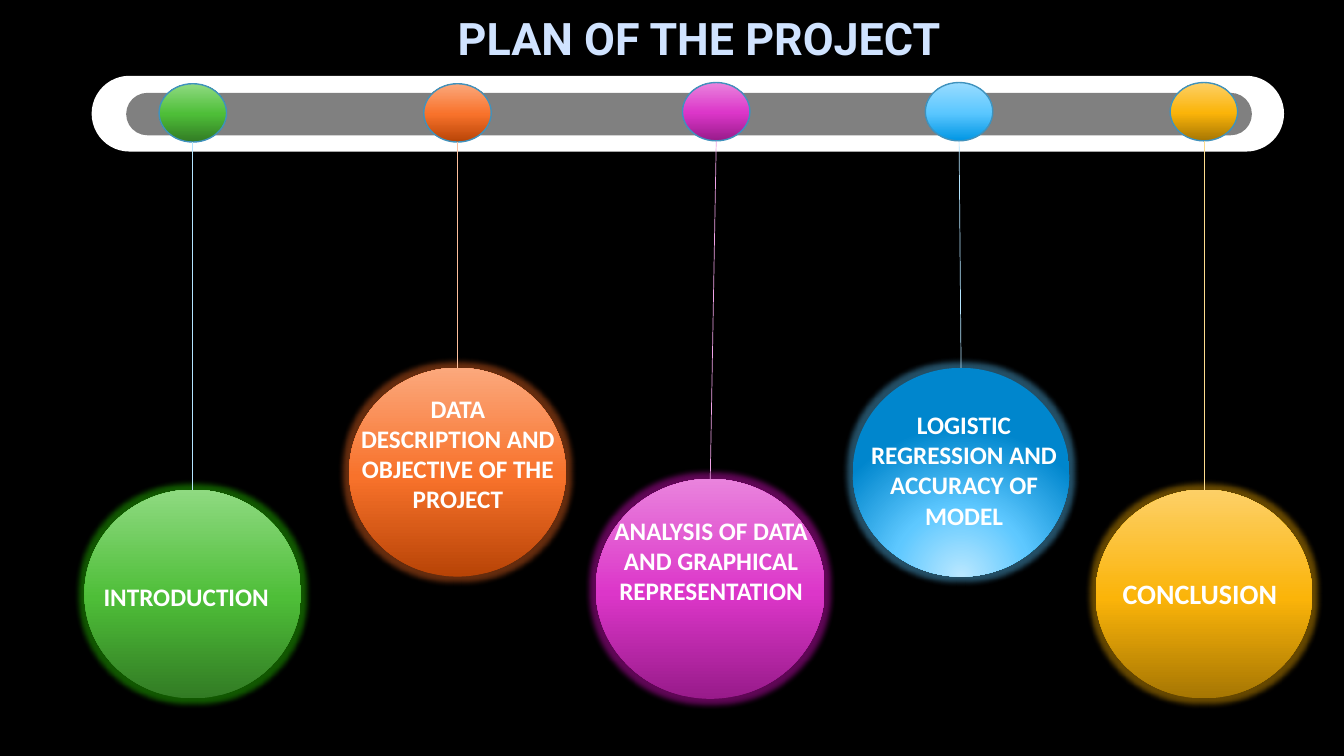
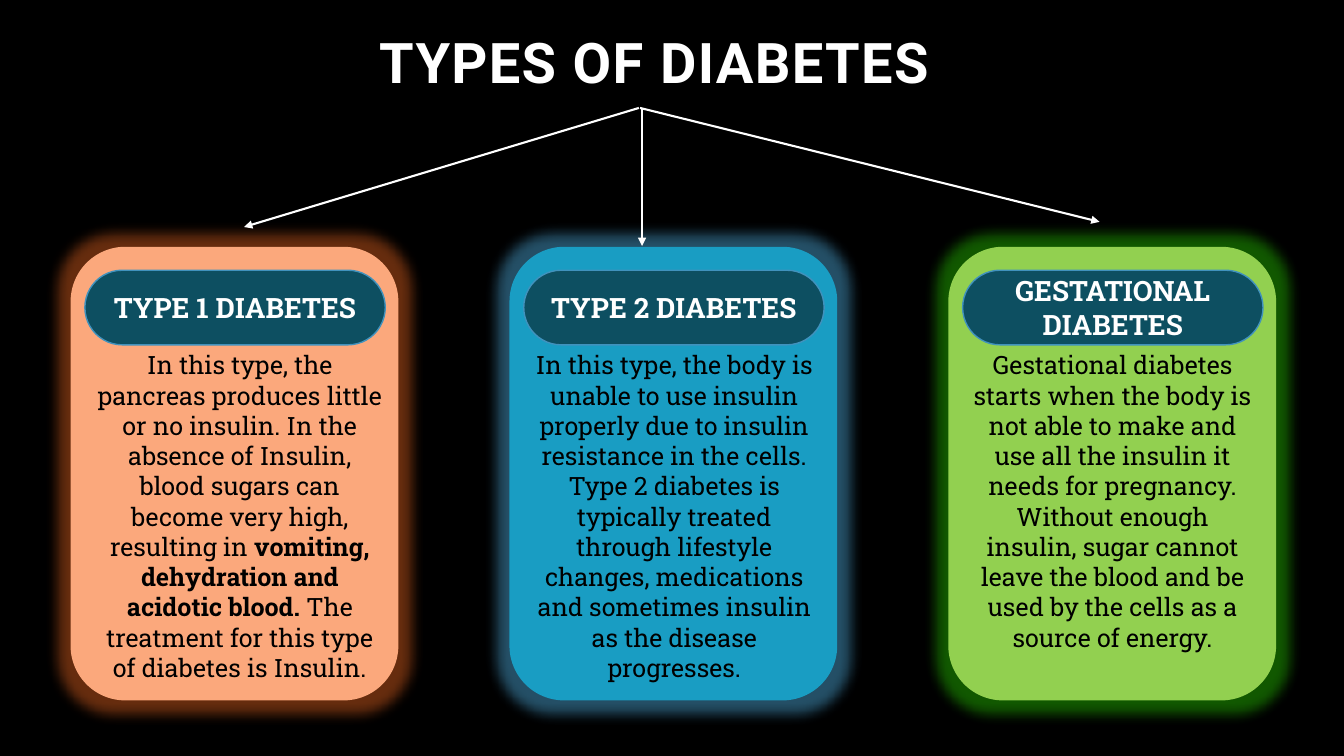
from dataclasses import dataclass
from typing import Optional

from lxml.etree import SubElement
from pptx import Presentation
from pptx.dml.color import RGBColor
from pptx.enum.shapes import MSO_CONNECTOR, MSO_SHAPE
from pptx.enum.text import MSO_ANCHOR, MSO_AUTO_SIZE, PP_ALIGN
from pptx.oxml.ns import qn
from pptx.util import Cm, Pt

BLACK = RGBColor(0x00, 0x00, 0x00)
WHITE = RGBColor(0xFF, 0xFF, 0xFF)
GREY = RGBColor(0x80, 0x80, 0x80)
PALE_BLUE = RGBColor(0xD0, 0xE3, 0xFF)
OUTLINE = RGBColor(0x40, 0x92, 0xBD)
DEEP_TEAL = RGBColor(0x0D, 0x4F, 0x61)
TEAL = RGBColor(0x19, 0x9D, 0xC3)
PEACH = RGBColor(0xFB, 0xA8, 0x7C)
LIME = RGBColor(0x92, 0xD0, 0x50)
GREEN_GLOW = RGBColor(0x2B, 0xDD, 0x00)
ORANGE_GLOW = RGBColor(0xFF, 0x70, 0x24)
PINK_GLOW = RGBColor(0xF0, 0x10, 0xD8)
BLUE_GLOW = RGBColor(0x5B, 0xC7, 0xFF)
YELLOW_GLOW = RGBColor(0xFF, 0xB4, 0x00)
ICE = RGBColor(0xB3, 0xE5, 0xFF)

TITLE_FONT = "Roboto"
LABEL_FONT = "Calibri"
CARD_FONT = "Roboto Slab"


@dataclass(frozen=True)
class Gradient:
    dark: RGBColor
    middle: RGBColor
    light: RGBColor
    middle_at: int = 48
    radial: bool = False


GREEN = Gradient(RGBColor(0x32, 0x7B, 0x24), RGBColor(0x4E, 0xBE, 0x38), RGBColor(0x8F, 0xDA, 0x81))
ORANGE = Gradient(RGBColor(0xB8, 0x44, 0x06), RGBColor(0xF8, 0x72, 0x2B), PEACH)
PINK = Gradient(RGBColor(0x98, 0x1B, 0x8A), RGBColor(0xDC, 0x36, 0xC9), RGBColor(0xE9, 0x83, 0xDD))
BLUE = Gradient(RGBColor(0x00, 0x96, 0xE4), RGBColor(0x5B, 0xC7, 0xFF), RGBColor(0x9A, 0xDC, 0xFF))
BLUE_BALL = Gradient(RGBColor(0xBB, 0xE8, 0xFF), RGBColor(0x5E, 0xC8, 0xFF),
                     RGBColor(0x00, 0x86, 0xCD), 46, True)
YELLOW = Gradient(RGBColor(0xA6, 0x76, 0x03), RGBColor(0xFB, 0xB4, 0x09), RGBColor(0xFD, 0xD0, 0x67))


@dataclass(frozen=True)
class Box:
    left: float
    top: float
    width: float
    height: float

    def lengths(self) -> tuple:
        return Cm(self.left), Cm(self.top), Cm(self.width), Cm(self.height)


@dataclass(frozen=True)
class Pendulum:
    text: str
    bead_x: float
    bead_top: float
    ball_x: float
    ball_top: float
    bead_fill: Gradient
    ball_fill: Gradient
    glow: RGBColor
    cable: RGBColor
    label: Box
    ball_width: float = 5.46
    ball_height: float = 5.26
    size: int = 18
    align: PP_ALIGN = PP_ALIGN.CENTER


@dataclass(frozen=True)
class Span:
    text: str
    bold: bool = False


@dataclass(frozen=True)
class Card:
    heading: str
    spans: tuple
    fill: RGBColor
    glow: RGBColor
    body_left: float
    body_width: float
    arrow_start_x: float
    arrow_end: tuple


PENDULUMS = (
    Pendulum("INTRODUCTION", 4.86, 2.11, 4.86, 12.34, GREEN, GREEN, GREEN_GLOW, ICE,
             Box(2.36, 14.53, 5.31, 1.02), align=PP_ALIGN.LEFT),
    Pendulum("DATA DESCRIPTION AND OBJECTIVE OF THE PROJECT", 11.53, 2.11, 11.53, 9.27,
             ORANGE, ORANGE, ORANGE_GLOW, RGBColor(0xFC, 0xBE, 0x9C), Box(8.81, 9.78, 5.46, 3.33)),
    Pendulum("ANALYSIS OF DATA AND GRAPHICAL REPRESENTATION", 18.05, 2.08, 17.9, 12.07,
             PINK, PINK, PINK_GLOW, RGBColor(0xEF, 0xA2, 0xE6), Box(15.01, 12.85, 5.82, 3.33),
             ball_width=5.77, ball_height=5.54),
    Pendulum("LOGISTIC REGRESSION AND ACCURACY OF MODEL", 24.17, 2.08, 24.22, 9.27,
             BLUE, BLUE_BALL, BLUE_GLOW, ICE, Box(21.64, 10.19, 5.31, 3.33)),
    Pendulum("CONCLUSION", 30.34, 2.08, 30.34, 12.34, YELLOW, YELLOW, YELLOW_GLOW,
             RGBColor(0xFD, 0xDC, 0x8D), Box(28.04, 14.4, 6.3, 1.12), size=20, align=PP_ALIGN.LEFT),
)

CARDS = (
    Card("TYPE 1 DIABETES",
         (Span("In this type, the pancreas produces little or no insulin. In the absence of Insulin, "
               "blood sugars can become very high, resulting in "),
          Span("vomiting, dehydration and acidotic blood. ", True),
          Span("The treatment for this type of diabetes is Insulin.")),
         PEACH, ORANGE_GLOW, 2.16, 7.77, 16.1, (6.15, 5.72)),
    Card("TYPE 2 DIABETES",
         (Span("In this type, the body is unable to use insulin properly due to insulin resistance "
               "in the cells. Type 2 diabetes is typically treated through lifestyle changes, "
               "medications and sometimes insulin as the disease progresses."),),
         TEAL, BLUE_GLOW, 13.21, 7.57, 16.18, (16.18, 6.2)),
    Card("GESTATIONAL DIABETES",
         (Span("Gestational diabetes starts when the body is not able to make and use all the "
               "insulin it needs for pregnancy. Without enough insulin, sugar cannot leave the "
               "blood and be used by the cells as a source of energy."),),
         LIME, GREEN_GLOW, 24.18, 7.72, 16.13, (27.71, 5.59)),
)


def style_font(font, name: str, size: int, color: RGBColor, bold: bool = True) -> None:
    font.name = name
    font.size = Pt(size)
    font.bold = bold
    font.color.rgb = color


def fill_gradient(shape, gradient: Gradient) -> None:
    properties = shape._element.spPr
    fill = properties.makeelement(qn("a:gradFill"), {"rotWithShape": "1"})
    stops = SubElement(fill, qn("a:gsLst"))
    colors = ((0, gradient.dark), (gradient.middle_at, gradient.middle), (100, gradient.light))
    for position, color in colors:
        stop = SubElement(stops, qn("a:gs"), pos=str(position * 1000))
        SubElement(stop, qn("a:srgbClr"), val=str(color))
    if gradient.radial:
        focus = SubElement(fill, qn("a:path"), {"path": "circle"})
        SubElement(focus, qn("a:fillToRect"), l="50000", t="130000", r="50000", b="-30000")
    else:
        SubElement(fill, qn("a:lin"), ang="16200000", scaled="0")
    properties.find(qn("a:prstGeom")).addnext(fill)


def add_glow(shape, color: RGBColor, radius: int) -> None:
    effects = shape._element.spPr.find(qn("a:effectLst"))
    glow = SubElement(effects, qn("a:glow"), rad=str(Pt(radius)))
    tint = SubElement(glow, qn("a:srgbClr"), val=str(color))
    SubElement(tint, qn("a:alpha"), val="40000")


def add_figure(page, kind: MSO_SHAPE, box: Box, fill, line: Optional[RGBColor] = None,
               rounding: Optional[float] = None):
    shape = page.shapes.add_shape(kind, *box.lengths())
    shape.shadow.inherit = False
    if rounding is not None:
        shape.adjustments[0] = rounding
    if isinstance(fill, Gradient):
        fill_gradient(shape, fill)
    else:
        shape.fill.solid()
        shape.fill.fore_color.rgb = fill
    if line is None:
        shape.line.fill.background()
    else:
        shape.line.color.rgb = line
        shape.line.width = Pt(1)
    return shape


def add_line(page, start: tuple, end: tuple, color: RGBColor, width: float, arrow: bool = False) -> None:
    points = [Cm(value) for value in (*start, *end)]
    connector = page.shapes.add_connector(MSO_CONNECTOR.STRAIGHT, *points)
    connector.line.color.rgb = color
    connector.line.width = Pt(width)
    properties = connector._element.spPr
    if arrow:
        SubElement(properties.find(qn("a:ln")), qn("a:tailEnd"), type="triangle")
    SubElement(properties, qn("a:effectLst"))


def add_text(page, box: Box, spans: tuple, font: str, size: int, color: RGBColor,
             align: PP_ALIGN, bold: bool = False) -> None:
    frame = page.shapes.add_textbox(*box.lengths()).text_frame
    frame.word_wrap = True
    frame.auto_size = MSO_AUTO_SIZE.SHAPE_TO_FIT_TEXT
    para = frame.paragraphs[0]
    para.alignment = align
    for item in spans:
        span = para.add_run()
        span.text = item.text
        style_font(span.font, font, size, color, bold or item.bold)


def add_page(deck, title: str, box: Box, size: int, color: RGBColor, anchor: MSO_ANCHOR):
    page = deck.slides.add_slide(deck.slide_layouts.get_by_name("Title Only"))
    holder = page.shapes.title
    holder.left, holder.top, holder.width, holder.height = box.lengths()
    frame = holder.text_frame
    frame.text = title
    frame.word_wrap = True
    frame.auto_size = MSO_AUTO_SIZE.NONE
    frame.vertical_anchor = anchor
    para = frame.paragraphs[0]
    para.alignment = PP_ALIGN.LEFT
    style_font(para.runs[0].font, TITLE_FONT, size, color)
    return page


def add_pendulum(page, item: Pendulum) -> None:
    bead_width, bead_height = 1.7, 1.47
    ball_box = Box(item.ball_x - item.ball_width / 2, item.ball_top, item.ball_width, item.ball_height)
    ball = add_figure(page, MSO_SHAPE.OVAL, ball_box, item.ball_fill)
    add_glow(ball, item.glow, 8)
    bead_box = Box(item.bead_x - bead_width / 2, item.bead_top, bead_width, bead_height)
    add_figure(page, MSO_SHAPE.OVAL, bead_box, item.bead_fill, OUTLINE)
    add_line(page, (item.bead_x, item.bead_top + bead_height), (item.ball_x, item.ball_top),
             item.cable, 0.5)
    add_text(page, item.label, (Span(item.text),), LABEL_FONT, item.size, WHITE, item.align, True)


def add_card(page, card: Card, left: float) -> None:
    panel = add_figure(page, MSO_SHAPE.ROUNDED_RECTANGLE, Box(left, 6.22, 8.26, 11.43), card.fill)
    add_glow(panel, card.glow, 18)
    pill = add_figure(page, MSO_SHAPE.ROUNDED_RECTANGLE, Box(left + 0.36, 6.81, 7.57, 1.88),
                      DEEP_TEAL, OUTLINE, 0.5)
    frame = pill.text_frame
    frame.text = card.heading
    frame.word_wrap = True
    frame.vertical_anchor = MSO_ANCHOR.MIDDLE
    para = frame.paragraphs[0]
    para.alignment = PP_ALIGN.CENTER
    style_font(para.runs[0].font, CARD_FONT, 20, WHITE)
    add_text(page, Box(card.body_left, 8.69, card.body_width, 8.71), card.spans, CARD_FONT, 18,
             BLACK, PP_ALIGN.CENTER)
    add_line(page, (card.arrow_start_x, 2.72), card.arrow_end, WHITE, 1.5, arrow=True)


def build_plan(deck) -> None:
    page = add_page(deck, "PLAN OF THE PROJECT", Box(11.28, 0.15, 12.9, 1.63), 32, PALE_BLUE,
                    MSO_ANCHOR.TOP)
    for box, color in ((Box(2.31, 1.91, 30.05, 1.91), WHITE), (Box(3.18, 2.34, 28.37, 1.07), GREY)):
        add_figure(page, MSO_SHAPE.ROUNDED_RECTANGLE, box, color, rounding=0.5)
    for item in PENDULUMS:
        add_pendulum(page, item)


def build_types(deck) -> None:
    page = add_page(deck, "TYPES OF DIABETES", Box(9.3, 0.43, 16.31, 2.11), 40, WHITE,
                    MSO_ANCHOR.BOTTOM)
    para = page.shapes.title.text_frame.paragraphs[0]
    para.line_spacing = 0.9
    para.runs[0].font._element.set("spc", "100")
    for index, card in enumerate(CARDS):
        add_card(page, card, 1.78 + index * 11.06)


def main() -> None:
    deck = Presentation()
    deck.slide_width, deck.slide_height = Cm(33.87), Cm(19.05)
    background = deck.slide_master.background.fill
    background.solid()
    background.fore_color.rgb = BLACK
    build_plan(deck)
    build_types(deck)
    deck.save("out.pptx")


if __name__ == "__main__":
    main()
